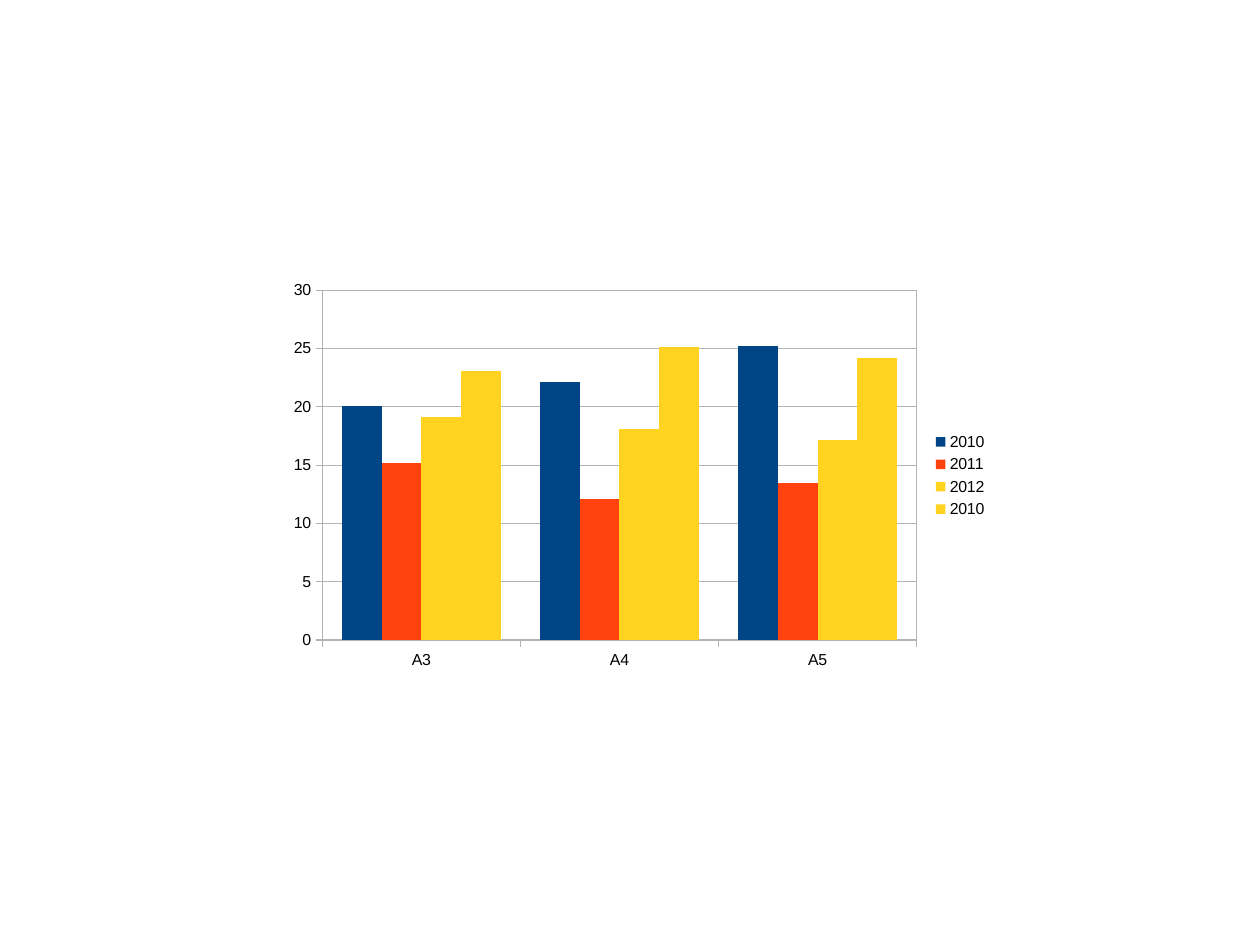
from lxml.etree import SubElement
from pptx import Presentation
from pptx.chart.data import CategoryChartData
from pptx.dml.color import RGBColor
from pptx.enum.chart import XL_CHART_TYPE, XL_LEGEND_POSITION, XL_TICK_MARK
from pptx.oxml import parse_xml
from pptx.oxml.ns import nsdecls, qn
from pptx.util import Inches, Pt

BLACK = RGBColor(0x00, 0x00, 0x00)
GRAY = RGBColor(0xB3, 0xB3, 0xB3)
BLUE = RGBColor(0x00, 0x45, 0x86)
RED = RGBColor(0xFF, 0x42, 0x0E)
GOLD = RGBColor(0xFF, 0xD3, 0x20)

years = [
    ("2010", (20.1, 22.1, 25.2), BLUE),
    ("2011", (15.2, 12.1, 13.5), RED),
    ("2012", (19.1, 18.1, 17.2), GOLD),
    ("2010", (23.1, 25.1, 24.2), GOLD),
]
wide, high = 6.3, 3.54

deck = Presentation()
deck.slide_width = Inches(28 / 2.54)
deck.slide_height = Inches(21 / 2.54)
slide = deck.slides.add_slide(deck.slide_layouts[6])

data = CategoryChartData()
data.categories = ["A3", "A4", "A5"]
for name, vals, color in years:
    data.add_series(name, vals)

chart = slide.shapes.add_chart(
    XL_CHART_TYPE.COLUMN_CLUSTERED,
    Inches(2.44), Inches(2.39), Inches(wide), Inches(high), data,
).chart
chart.has_title = False
chart.has_legend = True
plot = chart.plots[0]
values = chart.value_axis
values.has_major_gridlines = True
axes = (chart.category_axis, values)
legend = chart.legend

styles = [
    (plot, {"gap_width": 100, "overlap": 0, "vary_by_categories": False}),
    (values, {"minimum_scale": 0, "maximum_scale": 30, "major_unit": 5}),
    (legend, {"position": XL_LEGEND_POSITION.RIGHT, "include_in_layout": False}),
]
for axis in axes:
    styles.append((axis, {"major_tick_mark": XL_TICK_MARK.OUTSIDE,
                          "minor_tick_mark": XL_TICK_MARK.NONE}))
for font in (chart.font, legend.font, *(axis.tick_labels.font for axis in axes)):
    styles.append((font, {"name": "Arial", "size": Pt(10), "bold": False}))
    styles.append((font.color, {"rgb": BLACK}))
for part in (*axes, values.major_gridlines):
    line = part.format.line
    styles.append((line, {"width": Pt(0.75)}))
    styles.append((line.color, {"rgb": GRAY}))
for bars, (name, vals, color) in zip(plot.series, years):
    bars.format.fill.solid()
    styles.append((bars.format.fill.fore_color, {"rgb": color}))
    styles.append((bars, {"invert_if_negative": False}))

for item, style in styles:
    for key, value in style.items():
        setattr(item, key, value)

area = chart.element.find(".//" + qn("c:plotArea"))
for old in area.findall(qn("c:layout")):
    area.remove(old)
layout = parse_xml(f"<c:layout {nsdecls('c')}><c:manualLayout/></c:layout>")
frame = {"layoutTarget": "inner", "xMode": "edge", "yMode": "edge",
         "x": 0.38 / wide, "y": 0.15 / high, "w": 5.2 / wide, "h": 3.06 / high}
for key, value in frame.items():
    SubElement(layout[0], qn("c:" + key), val=str(value))
area.insert(0, layout)
area.append(parse_xml(
    f"<c:spPr {nsdecls('c', 'a')}><a:noFill/><a:ln w='{Pt(0.75)}'><a:solidFill>"
    f"<a:srgbClr val='{GRAY}'/></a:solidFill></a:ln></c:spPr>"
))

deck.save("out.pptx")
